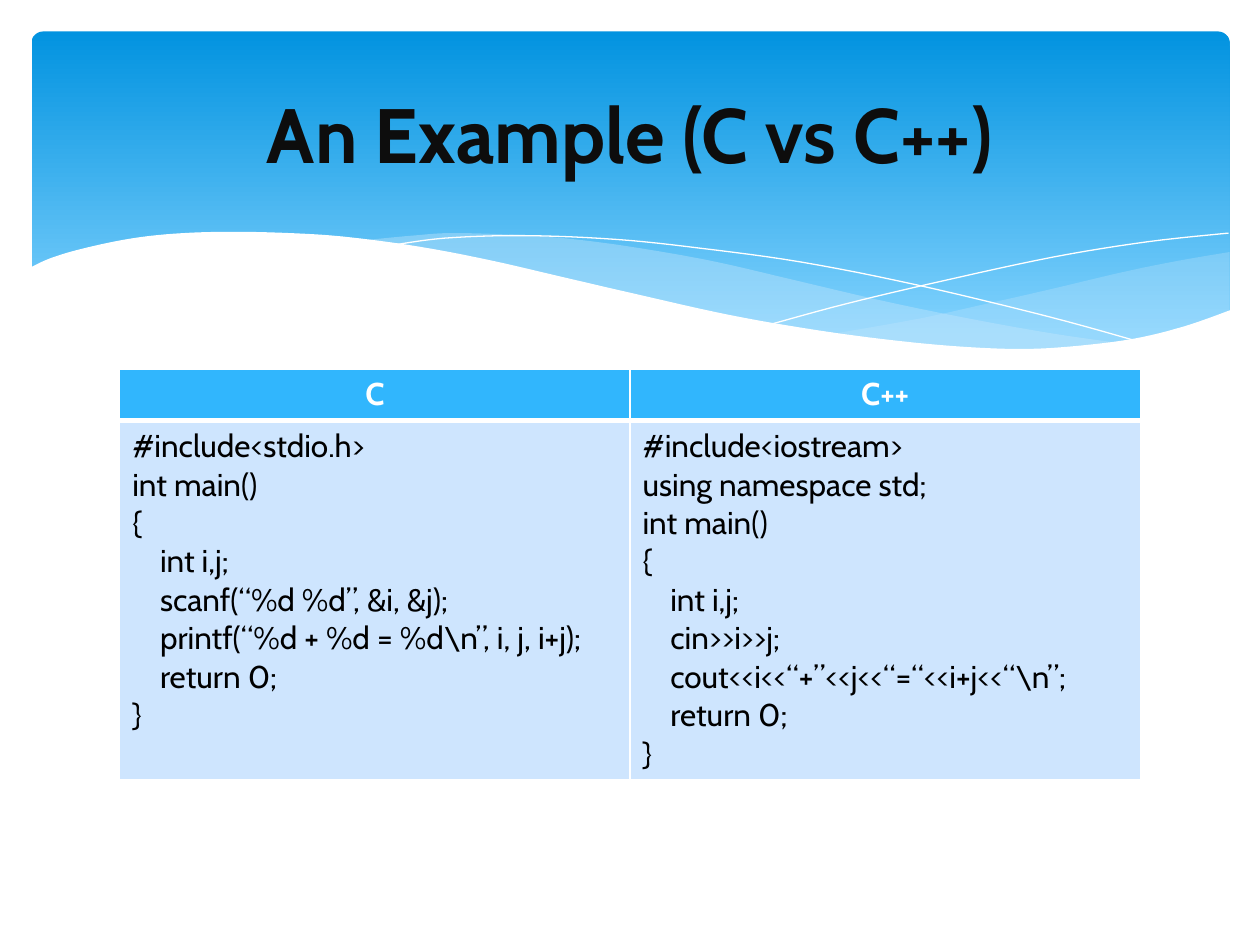
from lxml import etree
from pptx import Presentation
from pptx.dml.color import RGBColor
from pptx.enum.shapes import MSO_SHAPE
from pptx.enum.text import MSO_ANCHOR, PP_ALIGN
from pptx.oxml.ns import qn
from pptx.util import Inches, Pt

ROUNDED = MSO_SHAPE.ROUNDED_RECTANGLE
MIDDLE = MSO_ANCHOR.MIDDLE
LEFT, CENTER = PP_ALIGN.LEFT, PP_ALIGN.CENTER
TITLE_ONLY = 5

COLORS = {
    "band_top": "0293E0", "band_bottom": "83D3FE", "ripple": "C6E7FC",
    "header": "31B6FD", "body": "CEE5FE", "white": "FFFFFF",
    "title": "0D0D0D", "code": "000000",
}

RIGHT_RIPPLE_TOP = [(9.76, 2), (9.35, 2.07), (8.91, 2.16), (8.32, 2.3),
                    (7.79, 2.42), (7.29, 2.53), (6.61, 2.65)]
RIGHT_RIPPLE_BOTTOM = [(6.61, 2.65), (7.05, 2.71), (7.57, 2.76), (8.03, 2.78),
                       (8.54, 2.76), (8.97, 2.7), (9.35, 2.62), (9.76, 2.47)]
LEFT_RIPPLE_TOP = [(8.93, 2.73), (8.37, 2.65), (7.75, 2.54), (7.06, 2.4),
                   (6.29, 2.22), (5.69, 2.08), (5.14, 1.98), (4.65, 1.91),
                   (4.2, 1.87), (3.61, 1.85), (3.28, 1.87), (2.86, 1.91)]
LEFT_RIPPLE_BOTTOM = [(2.86, 1.91), (3.42, 1.99), (4.04, 2.11), (4.49, 2.22),
                      (5.3, 2.4), (6.01, 2.55), (6.65, 2.66), (7.22, 2.74),
                      (7.85, 2.78), (8.38, 2.78), (8.93, 2.73)]
FALLING_LINE = [(3.09, 1.95), (3.53, 1.89), (4.16, 1.87), (4.89, 1.9),
                (5.56, 1.97), (6.36, 2.08), (7.27, 2.26), (8.31, 2.51),
                (9.07, 2.72)]
RISING_LINE = [(6.13, 2.57), (6.72, 2.41), (7.48, 2.23), (8.36, 2.04),
               (9.1, 1.92), (9.75, 1.85)]
WAVE_TOP = [(9.77, 2.46), (9.4, 2.59), (8.99, 2.69), (8.5, 2.75), (8.09, 2.77),
            (7.61, 2.75), (7.08, 2.7), (6.48, 2.62), (5.79, 2.5), (5.03, 2.33),
            (4.47, 2.2), (3.91, 2.07), (3.4, 1.97), (2.92, 1.9), (2.5, 1.86),
            (1.93, 1.84), (1.46, 1.85), (1.06, 1.89), (0.67, 1.97),
            (0.4, 2.05), (0.23, 2.13)]
WAVE_BASE = [(0.23, 3.29), (9.77, 3.29)]

PROGRAMS = {
    "C": ["#include<stdio.h>", "int main()", "{", "\tint i,j;",
          "\tscanf(“%d %d”, &i, &j);",
          "\tprintf(“%d + %d = %d\\n”, i, j, i+j);",
          "\treturn 0;", "}"],
    "C++": ["#include<iostream>", "using namespace std;", "int main()", "{",
            "\tint i,j;", "\tcin>>i>>j;",
            "\tcout<<i<<“+”<<j<<“=“<<i+j<<“\\n”;",
            "\treturn 0;", "}"],
}


def smooth(knots, steps=6):
    """Return points on a smooth curve through the knots."""
    padded = [knots[0], *knots, knots[-1]]
    points = [knots[0]]
    for a, b, c, d in zip(padded, padded[1:], padded[2:], padded[3:]):
        for step in range(1, steps + 1):
            t = step / steps
            points.append(tuple(
                q + t * (r - p) / 2 + t**2 * (2 * p - 5 * q + 4 * r - s) / 2
                + t**3 * (3 * q - p - 3 * r + s) / 2
                for p, q, r, s in zip(a, b, c, d)))
    return points


class SlideBuilder:
    """Holds the style and the current slide."""

    def __init__(self, slide, font="Cabin", code_size=18, indent=0.22):
        self.slide = slide
        self.font = font
        self.code_size = code_size
        self.indent = indent

    def color(self, name):
        return RGBColor.from_string(COLORS[name])

    def add_text(self, paragraph, text, size, color, bold=False, align=LEFT):
        paragraph.alignment = align
        run = paragraph.add_run()
        run.text = text
        run.font.name = self.font
        run.font.size = Pt(size)
        run.font.bold = bold
        run.font.color.rgb = self.color(color)

    def band(self, left, top, width, height):
        shape = self.slide.shapes.add_shape(
            ROUNDED, Inches(left), Inches(top), Inches(width), Inches(height))
        shape.adjustments[0] = 0.034
        shape.shadow.inherit = False
        shape.line.fill.background()
        shape.fill.gradient()
        shape.fill.gradient_angle = 270
        stops = shape.fill.gradient_stops
        for stop, position, name in zip(stops, (0, 0.9), ("band_top", "band_bottom")):
            stop.position = position
            stop.color.rgb = self.color(name)

    def outline(self, points, close):
        points = [(Inches(x), Inches(y)) for x, y in points]
        builder = self.slide.shapes.build_freeform(*points[0])
        builder.add_line_segments(points[1:], close=close)
        shape = builder.convert_to_shape()
        shape.shadow.inherit = False
        return shape

    def area(self, points, color, opacity=100):
        shape = self.outline(points, True)
        shape.line.fill.background()
        shape.fill.solid()
        shape.fill.fore_color.rgb = self.color(color)
        if opacity < 100:
            fill = shape._element.spPr.find(qn("a:solidFill"))
            etree.SubElement(fill[0], qn("a:alpha"), val=str(opacity * 1000))

    def curve(self, knots, color):
        shape = self.outline(smooth(knots), False)
        shape.fill.background()
        shape.line.color.rgb = self.color(color)
        shape.line.width = Pt(0)

    def title(self, text, left, top, width, height):
        title = self.slide.shapes.title
        title.left, title.top = Inches(left), Inches(top)
        title.width, title.height = Inches(width), Inches(height)
        title.text_frame.vertical_anchor = MIDDLE
        self.add_text(title.text_frame.paragraphs[0], text, 44, "title", True, CENTER)
        self.slide.shapes._spTree.append(title._element)

    def cell_style(self, cell, fill, **widths):
        cell.fill.solid()
        cell.fill.fore_color.rgb = self.color(fill)
        properties = cell._tc.get_or_add_tcPr()
        for index, side in enumerate("LRTB"):
            border = etree.Element(qn(f"a:ln{side}"), w=str(Pt(widths.get(side, 1))))
            solid = etree.SubElement(border, qn("a:solidFill"))
            etree.SubElement(solid, qn("a:srgbClr"), val=COLORS["white"])
            properties.insert(index, border)

    def code(self, cell, lines):
        frame = cell.text_frame
        for index, line in enumerate(lines):
            paragraph = frame.add_paragraph() if index else frame.paragraphs[0]
            self.add_text(paragraph, line.lstrip("\t"), self.code_size, "code")
            if line.startswith("\t"):
                paragraph._p.get_or_add_pPr().set("marL", str(Inches(self.indent)))

    def program_table(self, programs, left, top, width, row_heights):
        table = self.slide.shapes.add_table(
            2, len(programs), Inches(left), Inches(top),
            Inches(width), Inches(sum(row_heights))).table
        for row, height in zip(table.rows, row_heights):
            row.height = Inches(height)
        for column, (name, lines) in enumerate(programs.items()):
            header, body = table.cell(0, column), table.cell(1, column)
            self.cell_style(header, "header", B=3)
            self.cell_style(body, "body", T=3)
            self.add_text(header.text_frame.paragraphs[0], name, self.code_size,
                          "white", True, CENTER)
            self.code(body, lines)


def main():
    """Build the slide and save it."""
    presentation = Presentation()
    presentation.slide_width, presentation.slide_height = Inches(10), Inches(7.5)
    slide = presentation.slides.add_slide(presentation.slide_layouts[TITLE_ONLY])
    builder = SlideBuilder(slide)
    builder.band(0.25, 0.25, 9.51, 2.7)
    builder.area(smooth(RIGHT_RIPPLE_TOP) + smooth(RIGHT_RIPPLE_BOTTOM), "ripple", 29)
    builder.area(smooth(LEFT_RIPPLE_TOP) + smooth(LEFT_RIPPLE_BOTTOM), "ripple", 40)
    builder.curve(FALLING_LINE, "white")
    builder.curve(RISING_LINE, "white")
    builder.area(smooth(WAVE_TOP) + WAVE_BASE, "white")
    builder.program_table(PROGRAMS, 0.95, 2.93, 8.1, (0.41, 2.8))
    builder.title("An Example (C vs C++)", 0.5, 0.37, 9, 1.37)
    presentation.save("out.pptx")


main()
